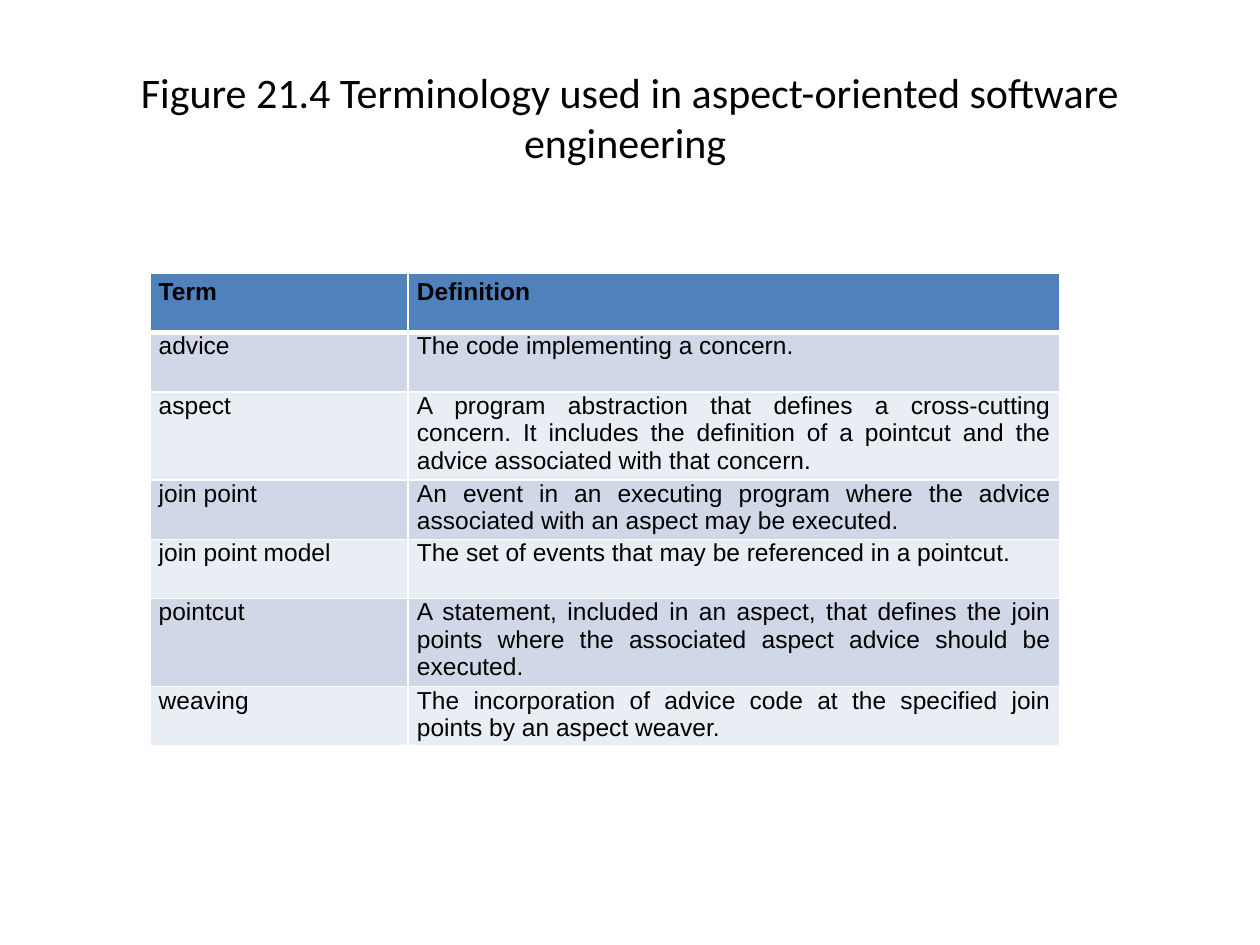
from lxml import etree
from pptx import Presentation
from pptx.dml.color import RGBColor
from pptx.enum.text import MSO_ANCHOR, PP_ALIGN
from pptx.oxml.ns import qn
from pptx.util import Inches, Pt

MIDDLE = MSO_ANCHOR.MIDDLE
CENTER, JUSTIFY = PP_ALIGN.CENTER, PP_ALIGN.JUSTIFY
COLORS = {"text": "000000", "header": "4F81BD", "odd": "D0D8E8",
          "even": "E9EDF4", "rule": "FFFFFF"}
TITLE = "Figure 21.4 Terminology used in aspect-oriented software engineering "
TERMS = [
    ("Term", "Definition"),
    ("advice", "The code implementing a concern."),
    ("aspect", "A program abstraction that defines a cross-cutting concern. It includes "
               "the definition of a pointcut and the advice associated with that concern."),
    ("join point", "An event in an executing program where the advice associated with "
                   "an aspect may be executed."),
    ("join point model", "The set of events that may be referenced in a pointcut."),
    ("pointcut", "A statement, included in an aspect, that defines the join points where "
                 "the associated aspect advice should be executed."),
    ("weaving", "The incorporation of advice code at the specified join points by an "
                "aspect weaver. "),
]


class SlideBuilder:
    """Holds the current slide and the style of its title and glossary table."""

    def __init__(self, slide):
        self.slide = slide
        self.title_font, self.table_font = "Calibri", "Arial"
        self.title_size, self.table_size = Pt(24), Pt(14)

    def style(self, paragraph, name, size, align, bold=False):
        paragraph.alignment = align
        font = paragraph.font
        font.name, font.size, font.bold = name, size, bold
        font.color.rgb = RGBColor.from_string(COLORS["text"])

    def title(self, text, left, top, width, height):
        frame = self.slide.shapes.add_textbox(
            Inches(left), Inches(top), Inches(width), Inches(height)).text_frame
        frame.word_wrap = True
        frame.vertical_anchor = MIDDLE
        heading = frame.paragraphs[0]
        heading.text = text
        self.style(heading, self.title_font, self.title_size, CENTER)

    def border(self, cell, side, width):
        line = etree.SubElement(cell._tc.get_or_add_tcPr(), qn(f"a:ln{side}"), w=str(Pt(width)))
        fill = etree.SubElement(line, qn("a:solidFill"))
        etree.SubElement(fill, qn("a:srgbClr"), val=COLORS["rule"])

    def cell(self, cell, text, row):
        is_header = row == 0
        cell.margin_left = cell.margin_right = Inches(0.07)
        cell.margin_top = Inches(0.04 if is_header else 0)
        cell.margin_bottom = 0
        for side in "LRTB":
            beside_header_rule = (row, side) in ((0, "B"), (1, "T"))
            self.border(cell, side, 3 if beside_header_rule else 1)
        shade = "header" if is_header else "odd" if row % 2 else "even"
        cell.fill.solid()
        cell.fill.fore_color.rgb = RGBColor.from_string(COLORS[shade])
        entry = cell.text_frame.paragraphs[0]
        entry.text = text
        entry.space_before = Pt(3 if row < 2 else 0)
        entry.space_after = Pt(3)
        self.style(entry, self.table_font, self.table_size, JUSTIFY, is_header)

    def table(self, rows, left, top, column_widths, row_height):
        glossary = self.slide.shapes.add_table(
            len(rows), len(column_widths), Inches(left), Inches(top),
            Inches(sum(column_widths)), Inches(row_height * len(rows))).table
        for column, width in zip(glossary.columns, column_widths):
            column.width = Inches(width)
        for row, texts in enumerate(rows):
            glossary.rows[row].height = Inches(row_height)
            for column, text in enumerate(texts):
                self.cell(glossary.cell(row, column), text, row)


def main():
    deck = Presentation()
    deck.slide_width, deck.slide_height = Inches(10), Inches(7.5)
    builder = SlideBuilder(deck.slides.add_slide(deck.slide_layouts[6]))
    builder.title(TITLE, 0.5, 0.3, 9, 1.25)
    builder.table(TERMS, 1.19, 2.17, (2.05, 5.17), 0.47)
    deck.save("out.pptx")


if __name__ == "__main__":
    main()
